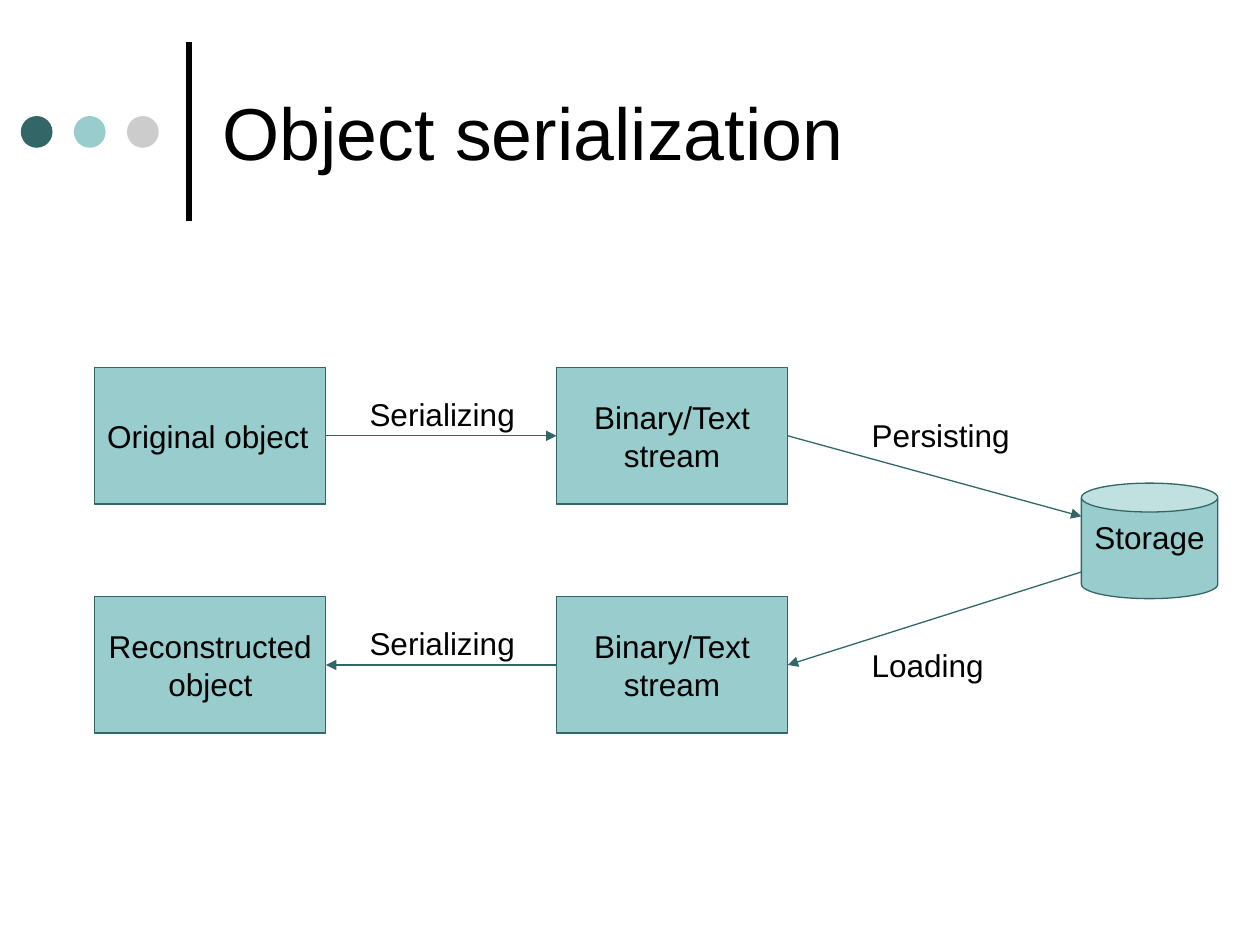
from dataclasses import dataclass

from lxml.etree import SubElement
from pptx import Presentation
from pptx.dml.color import RGBColor
from pptx.enum.shapes import MSO_CONNECTOR, MSO_SHAPE
from pptx.enum.text import MSO_ANCHOR, MSO_AUTO_SIZE, PP_ALIGN
from pptx.oxml.ns import qn
from pptx.util import Cm, Pt


@dataclass(frozen=True)
class Theme:
    font: str = "Arial"
    ink: RGBColor = RGBColor(0x00, 0x00, 0x00)
    dark: RGBColor = RGBColor(0x33, 0x66, 0x66)
    light: RGBColor = RGBColor(0x99, 0xCC, 0xCC)
    grey: RGBColor = RGBColor(0xCC, 0xCC, 0xCC)
    title_size: Pt = Pt(42)
    text_size: Pt = Pt(18)
    line_width: Pt = Pt(0.75)
    rule_width: Pt = Pt(3)


THEME = Theme()
BOX_W, BOX_H = 4.66, 2.75
OBJECT_X, STREAM_X, STORAGE_X = 1.91, 11.22, 21.8
SAVE_Y, LOAD_Y = 7.41, 12.03
STORAGE_Y, STORAGE_W, STORAGE_H = 9.74, 2.75, 2.33
RIGHT_SIDE, LEFT_SIDE = 3, 1


def write(frame, text, size=THEME.text_size, align=PP_ALIGN.LEFT):
    frame.text = text
    paragraph = frame.paragraphs[0]
    paragraph.alignment = align
    paragraph.font.name = THEME.font
    paragraph.font.size = size
    paragraph.font.color.rgb = THEME.ink


def add_title(slide, text):
    title = slide.shapes.title
    title.left, title.top, title.width, title.height = Cm(4.23), Cm(0.53), Cm(19.47), Cm(4.23)
    title.text_frame.vertical_anchor = MSO_ANCHOR.MIDDLE
    title.text_frame.auto_size = MSO_AUTO_SIZE.NONE
    write(title.text_frame, text, THEME.title_size)


def add_line(slide, start, end, color=THEME.dark, width=THEME.line_width):
    line = slide.shapes.add_connector(MSO_CONNECTOR.STRAIGHT, *map(Cm, start + end))
    line.line.color.rgb = color
    line.line.width = width
    SubElement(line._element.spPr, qn("a:effectLst"))
    return line


def add_arrow(slide, start, end):
    arrow = add_line(slide, start, end)
    SubElement(arrow.line._get_or_add_ln(), qn("a:tailEnd"), type="triangle")
    return arrow


def add_filled(slide, kind, x, y, width, height, color):
    shape = slide.shapes.add_shape(kind, Cm(x), Cm(y), Cm(width), Cm(height))
    shape.shadow.inherit = False
    shape.fill.solid()
    shape.fill.fore_color.rgb = color
    shape.line.fill.background()
    return shape


def add_node(slide, kind, x, y, width, height, text,
             align=PP_ALIGN.CENTER, anchor=MSO_ANCHOR.MIDDLE, wrap=True):
    node = add_filled(slide, kind, x, y, width, height, THEME.light)
    node.line.color.rgb = THEME.dark
    node.line.width = THEME.line_width
    node.text_frame.word_wrap = wrap
    node.text_frame.vertical_anchor = anchor
    write(node.text_frame, text, align=align)
    return node


def add_box(slide, x, y, text, align=PP_ALIGN.CENTER):
    return add_node(slide, MSO_SHAPE.RECTANGLE, x, y, BOX_W, BOX_H, text, align)


def add_label(slide, x, y, width, text):
    label = slide.shapes.add_textbox(Cm(x), Cm(y), Cm(width), Cm(1.02))
    label.text_frame.word_wrap = False
    label.text_frame.auto_size = MSO_AUTO_SIZE.SHAPE_TO_FIT_TEXT
    write(label.text_frame, text)


def add_header(slide):
    add_line(slide, (3.81, 4.45), (3.81, 0.84), THEME.ink, THEME.rule_width)
    for column, color in enumerate((THEME.dark, THEME.light, THEME.grey)):
        add_filled(slide, MSO_SHAPE.OVAL, 0.42 + 1.07 * column, 2.34, 0.64, 0.64, color)
    add_title(slide, "Object serialization")


def add_row(slide, y, object_text, object_align, storage_text, label_width):
    item = add_box(slide, OBJECT_X, y, object_text, object_align)
    stream = add_box(slide, STREAM_X, y, "Binary/Text stream")
    add_label(slide, 7.2, y + 0.42, 3.48, "Serializing")
    add_label(slide, 17.32, y + 0.86, label_width, storage_text)
    middle = y + BOX_H / 2
    return item, stream, (OBJECT_X + BOX_W, middle), (STREAM_X, middle), (STREAM_X + BOX_W, middle)


def add_saving(slide):
    item, stream, item_right, stream_left, stream_right = add_row(
        slide, SAVE_Y, "Original object", PP_ALIGN.LEFT, "Persisting", 3.5)
    serializing = add_arrow(slide, item_right, stream_left)
    serializing.begin_connect(item, RIGHT_SIDE)
    serializing.end_connect(stream, LEFT_SIDE)
    persisting = add_arrow(slide, stream_right, (STORAGE_X, 10.41))
    persisting.begin_connect(stream, RIGHT_SIDE)


def add_loading(slide):
    item, stream, item_right, stream_left, stream_right = add_row(
        slide, LOAD_Y, "Reconstructed object", PP_ALIGN.CENTER, "Loading", 2.8)
    serializing = add_arrow(slide, stream_left, item_right)
    serializing.begin_connect(stream, LEFT_SIDE)
    serializing.end_connect(item, RIGHT_SIDE)
    loading = add_arrow(slide, (STORAGE_X, 11.53), stream_right)
    loading.end_connect(stream, RIGHT_SIDE)


def main():
    deck = Presentation()
    deck.slide_width, deck.slide_height = Cm(25.4), Cm(19.05)
    slide = deck.slides.add_slide(deck.slide_layouts[5])
    add_header(slide)
    add_node(slide, MSO_SHAPE.CAN, STORAGE_X, STORAGE_Y, STORAGE_W, STORAGE_H,
             "Storage", anchor=MSO_ANCHOR.TOP, wrap=False)
    add_saving(slide)
    add_loading(slide)
    deck.save("out.pptx")


if __name__ == "__main__":
    main()
